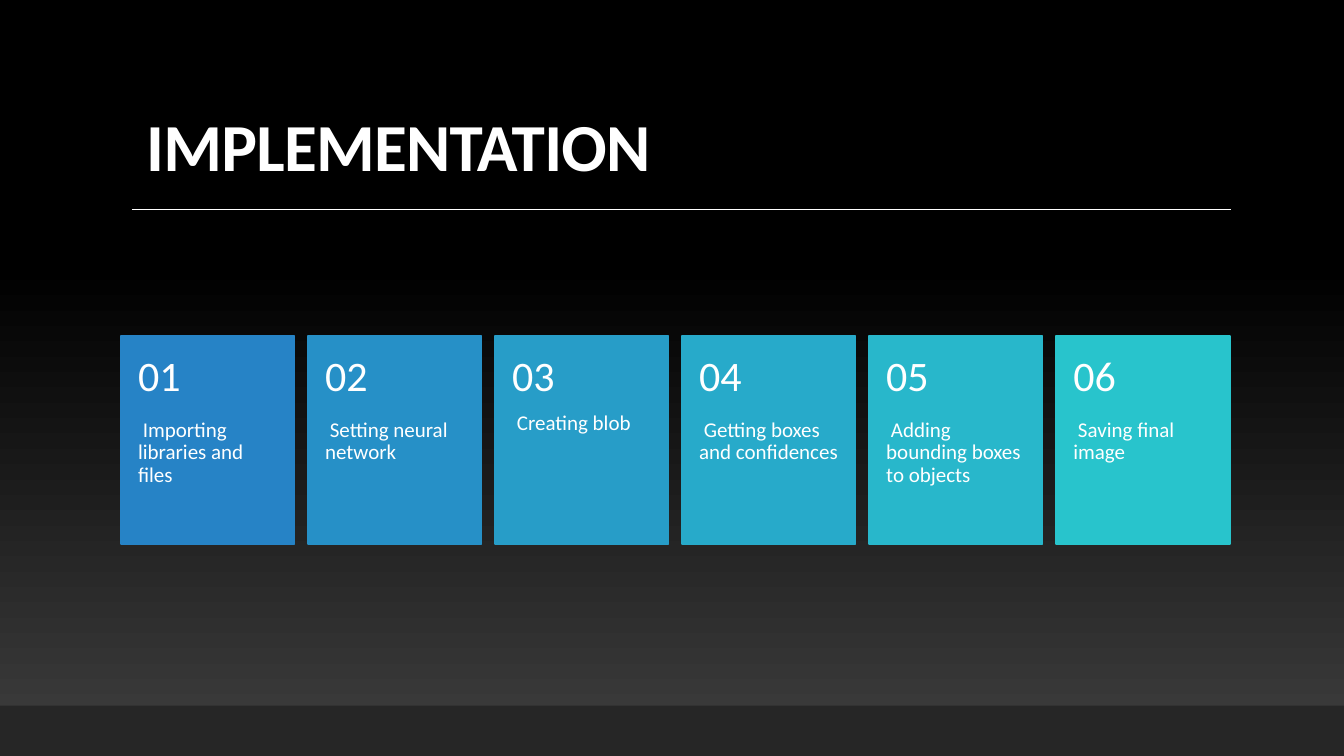
"""Build the implementation slide: a title above six numbered step cards."""
from pptx import Presentation
from pptx.dml.color import RGBColor
from pptx.enum import shapes, text
from pptx.oxml.xmlchemy import OxmlElement
from pptx.util import Pt

WHITE = RGBColor(0xFF, 0xFF, 0xFF)
BLACK = RGBColor(0x00, 0x00, 0x00)
GREY = RGBColor(0x3F, 0x3F, 0x3F)
FOOTER_GREY = RGBColor(0x26, 0x26, 0x26)
FIRST_BLUE = RGBColor(0x26, 0x83, 0xC6)
LAST_TEAL = RGBColor(0x28, 0xC4, 0xCC)

FONT = "Calibri"
SLIDE_W, SLIDE_H = 960, 540
CARD_LEFT, CARD_TOP, CARD_W, CARD_H = 86.4, 240, 124, 148.5
CARD_PITCH = 133.6
NUMBER_H = 59.4
STEPS = [
    " Importing libraries and files",
    " Setting neural network",
    " Creating blob",
    " Getting boxes and confidences",
    " Adding bounding boxes to objects",
    " Saving final image",
]


def fade_to_black(fill):
    fill.gradient()
    fill.gradient_angle = 90
    for stop, color, position in zip(fill.gradient_stops, (GREY, BLACK), (0, 0.65)):
        stop.color.rgb = color
        stop.position = position


def add_block(slide, left, top, width, height, color=None):
    block = slide.shapes.add_shape(
        shapes.MSO_SHAPE.RECTANGLE, Pt(left), Pt(top), Pt(width), Pt(height))
    block.shadow.inherit = False
    block.line.fill.background()
    if color is not None:
        block.fill.solid()
        block.fill.fore_color.rgb = color
    return block


def style(paragraph, size):
    paragraph.line_spacing = 0.9
    paragraph.font.name = FONT
    paragraph.font.size = Pt(size)
    paragraph.font.color.rgb = WHITE


def add_title(slide):
    title = slide.shapes.title
    title.left, title.top, title.width, title.height = Pt(86.4), Pt(22.3), Pt(792), Pt(114.5)
    title.element.getparent().append(title.element)
    frame = title.text_frame
    frame.auto_size = text.MSO_AUTO_SIZE.NONE
    frame.vertical_anchor = text.MSO_ANCHOR.BOTTOM
    heading = frame.paragraphs[0]
    heading.alignment = text.PP_ALIGN.LEFT
    style(heading, 48)
    for wording, bold in ((" ", False), ("IMPLEMENTATION", True)):
        run = heading.add_run()
        run.text = wording
        run.font.bold = bold
        run.font._element.set("spc", "-50")


def add_rule(slide):
    rule = slide.shapes.add_connector(
        shapes.MSO_CONNECTOR.STRAIGHT, Pt(94.3), Pt(149.6), Pt(879.1), Pt(149.6))
    rule.line.color.rgb = WHITE
    rule.line.width = Pt(1)
    rule.element.spPr.append(OxmlElement("a:effectLst"))


def add_label(slide, wording, left, top, height, size, anchor, margin_top, margin_bottom):
    label = slide.shapes.add_textbox(Pt(left), Pt(top), Pt(CARD_W), Pt(height))
    frame = label.text_frame
    frame.word_wrap = True
    frame.vertical_anchor = anchor
    frame.margin_left = frame.margin_right = Pt(12.25)
    frame.margin_top, frame.margin_bottom = Pt(margin_top), Pt(margin_bottom)
    frame.text = wording
    style(frame.paragraphs[0], size)


def add_card(slide, index, step):
    share = index / (len(STEPS) - 1)
    color = RGBColor(*(round(a + (b - a) * share) for a, b in zip(FIRST_BLUE, LAST_TEAL)))
    left = CARD_LEFT + index * CARD_PITCH
    card = add_block(slide, left, CARD_TOP, CARD_W, CARD_H, color)
    card.line.color.rgb = color
    card.line.width = Pt(1.25)
    add_label(slide, step, left, CARD_TOP + NUMBER_H, CARD_H - NUMBER_H, 15,
              text.MSO_ANCHOR.TOP, 0, 26)
    add_label(slide, f"{index + 1:02}", left, CARD_TOP, NUMBER_H, 30,
              text.MSO_ANCHOR.MIDDLE, 13, 13)


def main():
    deck = Presentation()
    deck.slide_width, deck.slide_height = Pt(SLIDE_W), Pt(SLIDE_H)
    slide = deck.slides.add_slide(deck.slide_layouts[5])
    fade_to_black(slide.background.fill)
    backdrop = add_block(slide, 0, 0, SLIDE_W, SLIDE_H)
    fade_to_black(backdrop.fill)
    add_title(slide)
    add_rule(slide)
    add_block(slide, 0, 504, SLIDE_W, 36, FOOTER_GREY)
    for index, step in enumerate(STEPS):
        add_card(slide, index, step)
    deck.save("out.pptx")


if __name__ == "__main__":
    main()
